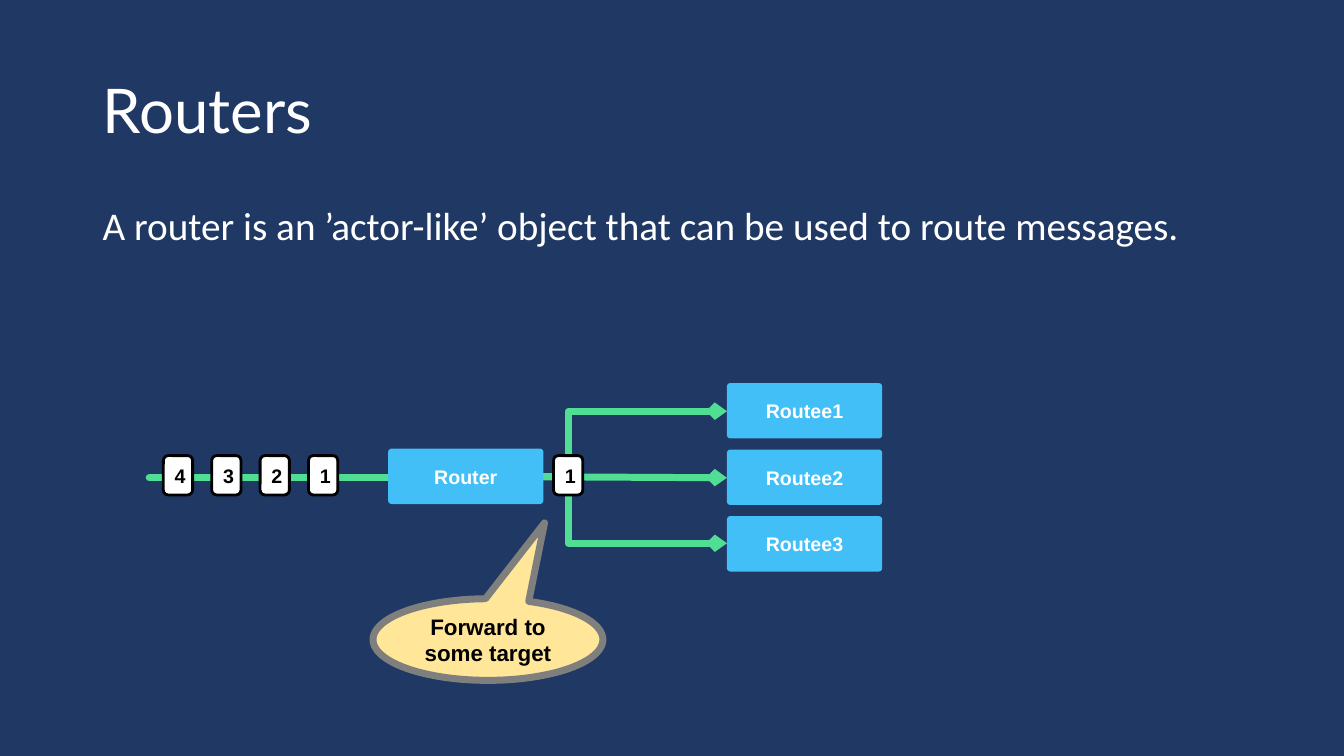
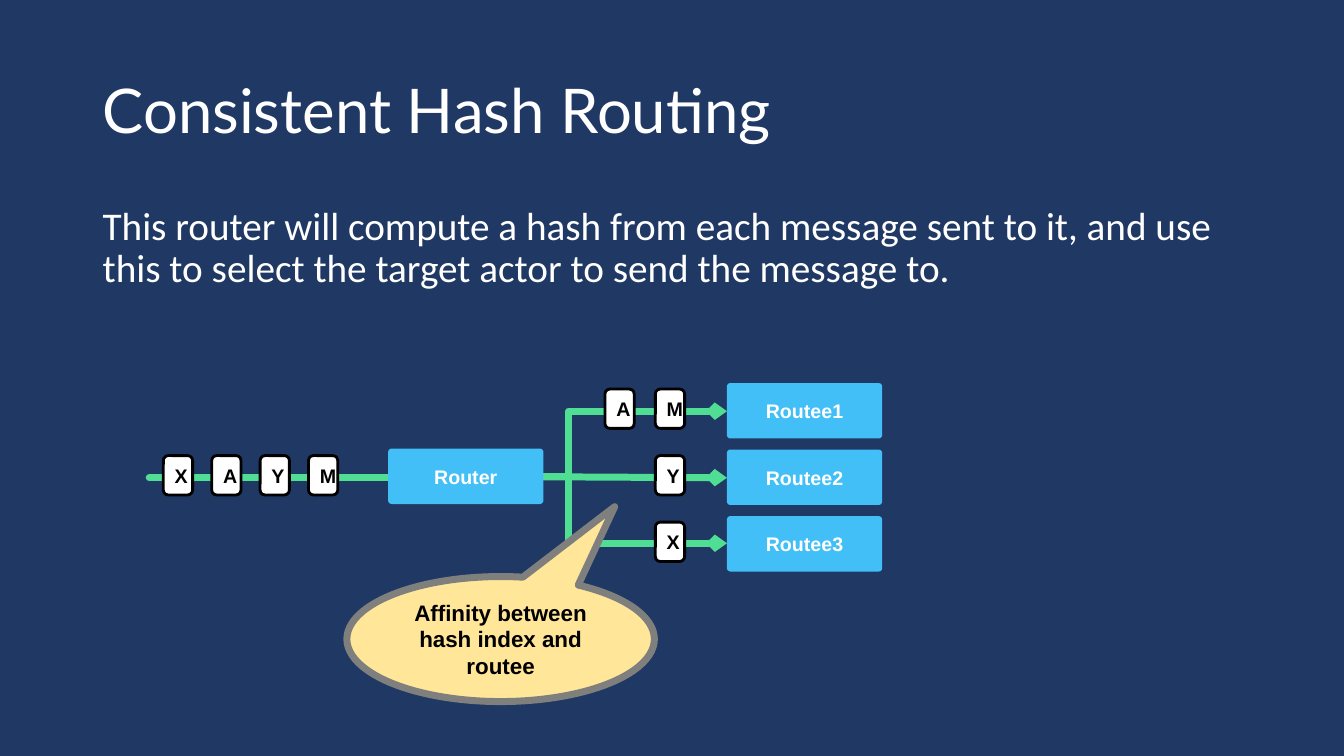
from lxml import etree
from pptx import Presentation
from pptx.dml.color import RGBColor
from pptx.enum.shapes import MSO_CONNECTOR, MSO_SHAPE
from pptx.enum.text import MSO_ANCHOR, PP_ALIGN
from pptx.oxml.ns import qn
from pptx.util import Inches, Pt

STRAIGHT, ELBOW = MSO_CONNECTOR.STRAIGHT, MSO_CONNECTOR.ELBOW
ROUNDED, CALLOUT = MSO_SHAPE.ROUNDED_RECTANGLE, MSO_SHAPE.OVAL_CALLOUT
TOP, MIDDLE = MSO_ANCHOR.TOP, MSO_ANCHOR.MIDDLE
LEFT, CENTER = PP_ALIGN.LEFT, PP_ALIGN.CENTER

# Shared colours and text formats
NAVY, WHITE, BLACK = "203864", "FFFFFF", "000000"
BLUE, GREEN, YELLOW, GREY = "43BFF7", "50DE94", "FFE699", "7F807D"
TITLE = {"name": "Lato", "size": Pt(44)}
BODY = {"name": "Calibri", "size": Pt(28)}
LABEL = {"name": "Arial", "size": Pt(14), "bold": True}
NOTE = {"name": "Arial", "size": Pt(16), "bold": True}

# Diagram geometry in inches
BLOCK_WIDTH, BLOCK_HEIGHT = 1.54, 0.55
MESSAGE_WIDTH, MESSAGE_HEIGHT = 0.29, 0.39
ROUTER_LEFT, ROUTER_TOP = 3.85, 4.45
ROUTEE_LEFT, ROUTEE_TOP, ROW_STEP = 7.21, 3.8, 0.66
QUEUE_LEFT, QUEUE_STEP, MESSAGE_TOP = 1.62, 0.48, 4.52
BEND = 0.135


def color(hex_value):
    return RGBColor.from_string(hex_value)


class Deck:
    def __init__(self):
        self.presentation = Presentation()
        self.presentation.slide_width = Inches(13.33)
        self.presentation.slide_height = Inches(7.5)
        self.slide = None

    def new_slide(self, title, body):
        layout = self.presentation.slide_layouts[6]
        self.slide = self.presentation.slides.add_slide(layout)
        background = self.slide.background.fill
        background.solid()
        background.fore_color.rgb = color(NAVY)
        self.text_box((0.92, 0.4, 11.5, 1.45), title, TITLE, MIDDLE)
        self.text_box((0.92, 2, 11.5, 4.76), body, BODY, TOP)

    def fill_text(self, shape, text, style, text_color, anchor, alignment):
        frame = shape.text_frame
        frame.word_wrap = True
        frame.vertical_anchor = anchor
        paragraph = frame.paragraphs[0]
        paragraph.alignment = alignment
        run = paragraph.add_run()
        run.text = text
        for name, value in style.items():
            setattr(run.font, name, value)
        run.font.color.rgb = color(text_color)
        return paragraph

    def text_box(self, box, text, style, anchor):
        shape = self.slide.shapes.add_textbox(*map(Inches, box))
        paragraph = self.fill_text(shape, text, style, WHITE, anchor, LEFT)
        paragraph.line_spacing = 0.9

    def shape(self, kind, box, text, style, fill, text_color, line=None,
              adjustments=()):
        shape = self.slide.shapes.add_shape(kind, *map(Inches, box))
        shape.shadow.inherit = False
        shape.fill.solid()
        shape.fill.fore_color.rgb = color(fill)
        if line:
            line_color, width = line
            shape.line.color.rgb = color(line_color)
            shape.line.width = Pt(width)
        else:
            shape.line.fill.background()
        for index, value in enumerate(adjustments):
            shape.adjustments[index] = value
        self.fill_text(shape, text, style, text_color, MIDDLE, CENTER)

    def block(self, left, top, text):
        self.shape(ROUNDED, (left, top, BLOCK_WIDTH, BLOCK_HEIGHT), text,
                   LABEL, BLUE, WHITE, adjustments=(0.062,))

    def message(self, left, top, text):
        self.shape(ROUNDED, (left, top, MESSAGE_WIDTH, MESSAGE_HEIGHT), text,
                   LABEL, WHITE, BLACK, line=(BLACK, 2))

    def callout(self, box, text, pointer):
        self.shape(CALLOUT, box, text, NOTE, YELLOW, BLACK, line=(GREY, 5),
                   adjustments=pointer)

    def line(self, kind, start, end, arrow=True):
        connector = self.slide.shapes.add_connector(
            kind, *map(Inches, start + end))
        connector.line.color.rgb = color(GREEN)
        connector.line.width = Pt(5)
        properties = connector.element.spPr
        outline = properties.find(qn("a:ln"))
        outline.set("cap", "rnd")
        etree.SubElement(outline, qn("a:round"))
        if arrow:
            etree.SubElement(outline, qn("a:tailEnd"),
                             {"type": "arrow", "w": "sm", "len": "sm"})
        etree.SubElement(properties, qn("a:effectLst"))
        if kind == ELBOW:
            guides = properties.find(qn("a:prstGeom")).find(qn("a:avLst"))
            etree.SubElement(guides, qn("a:gd"), {
                "name": "adj1", "fmla": f"val {round(BEND * 100000)}"})

    def router_diagram(self, queue):
        # Lines lie behind the blocks and messages
        fork = (ROUTER_LEFT + BLOCK_WIDTH, 4.73)
        for kind, target in ((ELBOW, 5.39), (ELBOW, 4.08), (STRAIGHT, 4.74)):
            self.line(kind, fork, (ROUTEE_LEFT, target))
        self.line(STRAIGHT, (1.48, 4.74), (ROUTER_LEFT, 4.74), arrow=False)
        for index, text in enumerate(queue):
            self.message(QUEUE_LEFT + index * QUEUE_STEP, MESSAGE_TOP, text)
        self.block(ROUTER_LEFT, ROUTER_TOP, "Router")
        for row in range(3):
            self.block(ROUTEE_LEFT, ROUTEE_TOP + row * ROW_STEP,
                       f"Routee{row + 1}")


def main():
    deck = Deck()

    # Routers
    deck.new_slide("Routers", "A router is an ’actor-like’ object that can "
                   "be used to route messages.")
    deck.router_diagram("4321")
    deck.message(5.49, MESSAGE_TOP, "1")
    deck.callout((3.7, 5.94, 2.28, 0.81), "Forward to some target",
                 (0.246, -1.43))

    # Consistent hash routing
    deck.new_slide("Consistent Hash Routing",
                   "This router will compute a hash from each message sent "
                   "to it, and use this to select the target actor to send "
                   "the message to.")
    deck.router_diagram("XAYM")
    for left, row, text in ((6, 0, "A"), (6.5, 0, "M"), (6.5, 1, "Y"),
                            (6.5, 2, "X")):
        deck.message(left, MESSAGE_TOP + (row - 1) * ROW_STEP, text)
    deck.callout((3.44, 5.72, 3.05, 1.24),
                 "Affinity between hash index and routee", (0.371, -1.059))

    deck.presentation.save("out.pptx")


if __name__ == "__main__":
    main()
